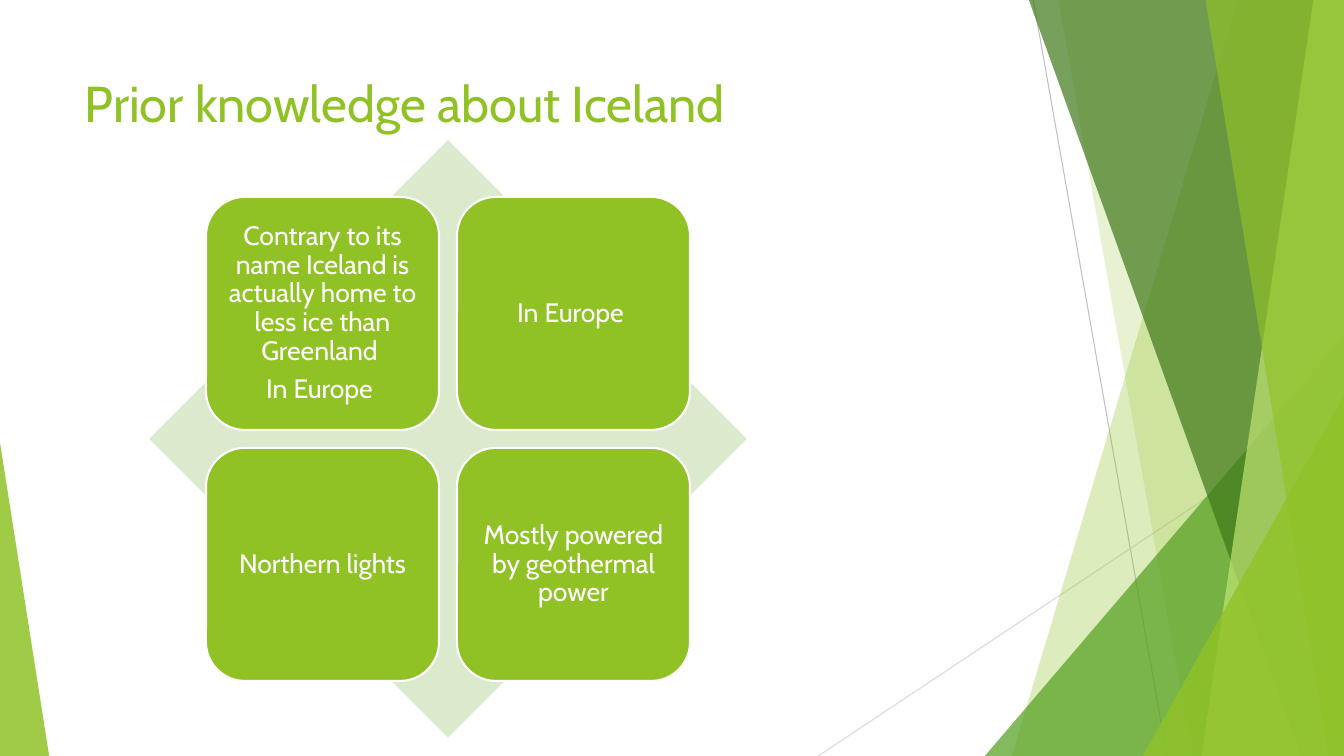
from lxml.etree import SubElement
from pptx import Presentation
from pptx.dml.color import RGBColor
from pptx.enum.shapes import MSO_CONNECTOR, MSO_SHAPE
from pptx.enum.text import MSO_ANCHOR, MSO_AUTO_SIZE, PP_ALIGN
from pptx.oxml.ns import qn
from pptx.util import Cm, Pt

LIME = RGBColor(0x90, 0xC2, 0x26)
GREEN = RGBColor(0x54, 0xA0, 0x21)
FOREST = RGBColor(0x3F, 0x78, 0x19)
PALE_LIME = RGBColor(0xC0, 0xE4, 0x74)
PALE_GREEN = RGBColor(0xDB, 0xE9, 0xCD)
GREY = RGBColor(0xBF, 0xBF, 0xBF)
LIGHT_GREY = RGBColor(0xD9, 0xD9, 0xD9)
WHITE = RGBColor(0xFF, 0xFF, 0xFF)
FONT = "Cabin"
WIDTH, HEIGHT = 33.87, 19.05

FACTS = [
    ["Contrary to its name Iceland is actually home to less ice than Greenland ", "In Europe "],
    ["In Europe "],
    ["Northern lights"],
    ["Mostly powered by geothermal power"],
]


def apply(target, formats):
    for name, value in formats.items():
        setattr(target, name, value)


def paint(shape, color, alpha=100):
    shape.shadow.inherit = False
    shape.fill.solid()
    shape.fill.fore_color.rgb = color
    shape.line.fill.background()
    if alpha < 100:
        clr = shape._element.spPr.find(qn("a:solidFill")).find(qn("a:srgbClr"))
        SubElement(clr, qn("a:alpha")).set("val", str(alpha * 1000))


def add_line(s, x1, y1, x2, y2, color):
    line = s.shapes.add_connector(MSO_CONNECTOR.STRAIGHT, Cm(x1), Cm(y1), Cm(x2), Cm(y2))
    line.line.color.rgb = color
    line.line.width = Pt(0.75)
    SubElement(line._element.spPr, qn("a:effectLst"))


def add_band(s, right, bottom, top_x, bottom_x, color, alpha):
    fb = s.shapes.build_freeform(Cm(top_x), 0)
    corners = [(right, 0), (right, bottom), (bottom_x, bottom)]
    fb.add_line_segments([(Cm(x), Cm(y)) for x, y in corners], close=True)
    paint(fb.convert_to_shape(), color, alpha)


def add_corner(s, left, bottom, width, height, apex, color, alpha):
    shape = s.shapes.add_shape(
        MSO_SHAPE.ISOSCELES_TRIANGLE, Cm(left), Cm(bottom - height), Cm(width), Cm(height)
    )
    shape.adjustments[0] = apex
    paint(shape, color, alpha)


def add_backdrop(s, right, bottom):
    add_line(s, right - 7.83, 0, right - 4.46, bottom, GREY)
    add_line(s, right, bottom - 8.81, right - 13.25, bottom, LIGHT_GREY)
    add_band(s, right, bottom, right - 2.68, right - 8.37, LIME, 30)
    add_band(s, right, bottom, right - 7.2, right - 3.82, LIME, 20)
    add_corner(s, right - 9.05, bottom, 9.05, 10.59, 1, GREEN, 72)
    add_band(s, right, bottom, right - 7.94, right - 1.08, FOREST, 70)
    add_band(s, right, bottom, right - 0.77, right - 3.59, PALE_LIME, 70)
    add_band(s, right, bottom, right - 3.49, right - 0.39, LIME, 65)
    add_corner(s, right - 5.07, bottom, 5.07, 9.07, 1, LIME, 80)
    add_corner(s, 0, bottom, 1.24, 7.9, 0, LIME, 85)


def add_title(s, left, top, width, height):
    title = s.shapes.title
    apply(title, {"left": Cm(left), "top": Cm(top), "width": Cm(width), "height": Cm(height)})
    tf = title.text_frame
    apply(tf, {"auto_size": MSO_AUTO_SIZE.NONE, "vertical_anchor": MSO_ANCHOR.TOP, "word_wrap": True})
    p = tf.paragraphs[0]
    p.alignment = PP_ALIGN.LEFT
    r = p.add_run()
    r.text = "Prior knowledge about Iceland"
    apply(r.font, {"name": FONT, "size": Pt(36)})
    r.font.color.rgb = LIME


def add_fact(s, left, top, size, lines):
    shape = s.shapes.add_shape(MSO_SHAPE.ROUNDED_RECTANGLE, Cm(left), Cm(top), Cm(size), Cm(size))
    paint(shape, LIME)
    shape.line.color.rgb = WHITE
    shape.line.width = Pt(1.5)
    tf = shape.text_frame
    apply(tf, {"word_wrap": True, "vertical_anchor": MSO_ANCHOR.MIDDLE})
    apply(tf, {f"margin_{side}": Cm(0.2) for side in ("left", "top", "right", "bottom")})
    for i, text in enumerate(lines):
        p = tf.add_paragraph() if i else tf.paragraphs[0]
        apply(p, {"alignment": PP_ALIGN.CENTER, "line_spacing": 0.9, "space_after": Pt(6.65)})
        r = p.add_run()
        r.text = text
        apply(r.font, {"name": FONT, "size": Pt(19)})
        r.font.color.rgb = WHITE


def add_matrix(s, left, top, size):
    diamond = s.shapes.add_shape(MSO_SHAPE.DIAMOND, Cm(left), Cm(top), Cm(size), Cm(size))
    paint(diamond, PALE_GREEN)
    inset, cell, pitch = 0.095 * size, 0.39 * size, 0.42 * size
    for i, lines in enumerate(FACTS):
        row, col = divmod(i, 2)
        add_fact(s, left + inset + col * pitch, top + inset + row * pitch, cell, lines)


def main():
    prs = Presentation()
    apply(prs, {"slide_width": Cm(WIDTH), "slide_height": Cm(HEIGHT)})
    s = prs.slides.add_slide(prs.slide_layouts[5])
    add_backdrop(s, WIDTH, HEIGHT)
    add_title(s, 1.88, 1.7, 23.88, 3.66)
    add_matrix(s, 3.76, 3.53, 15.06)
    prs.save("out.pptx")


if __name__ == "__main__":
    main()
